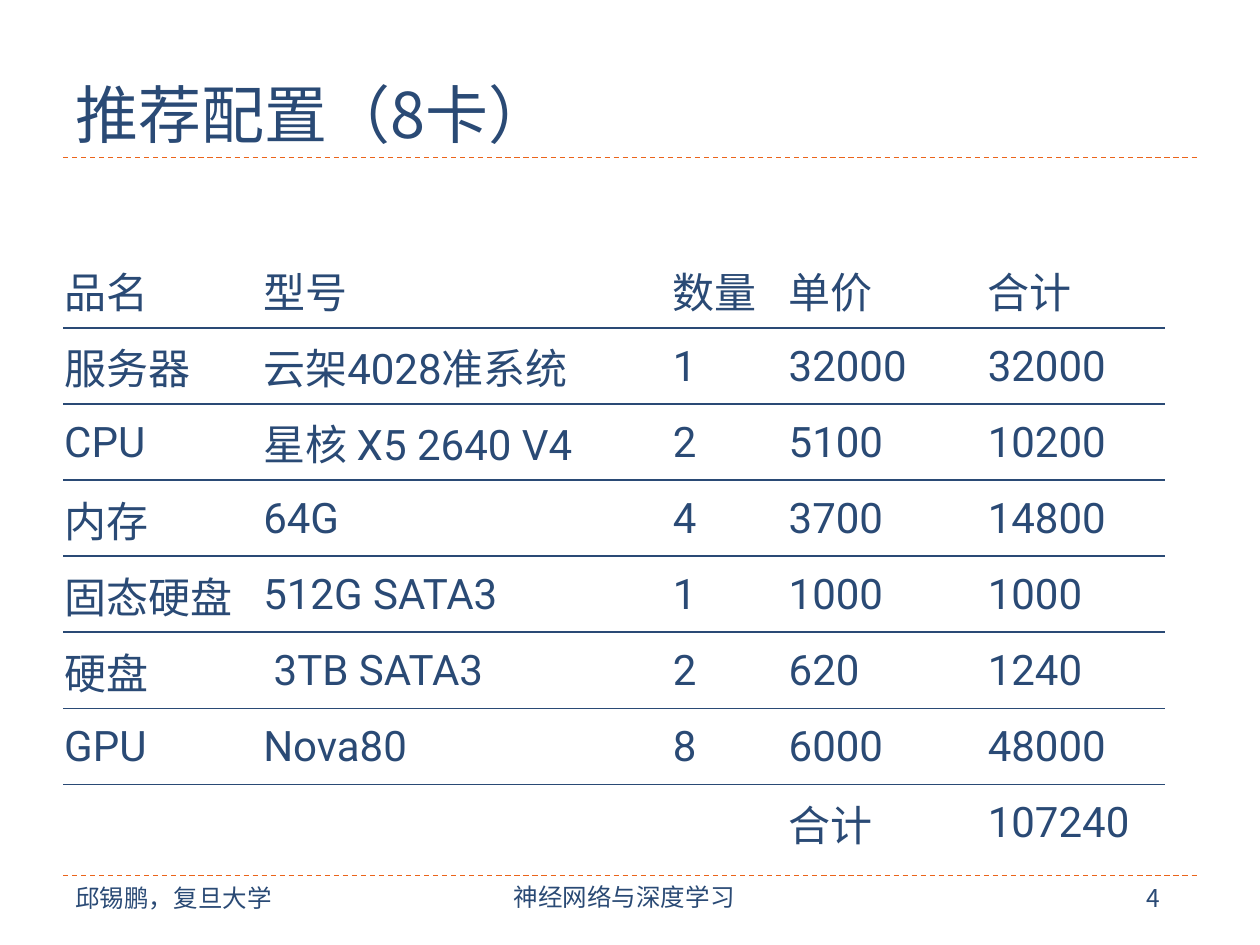
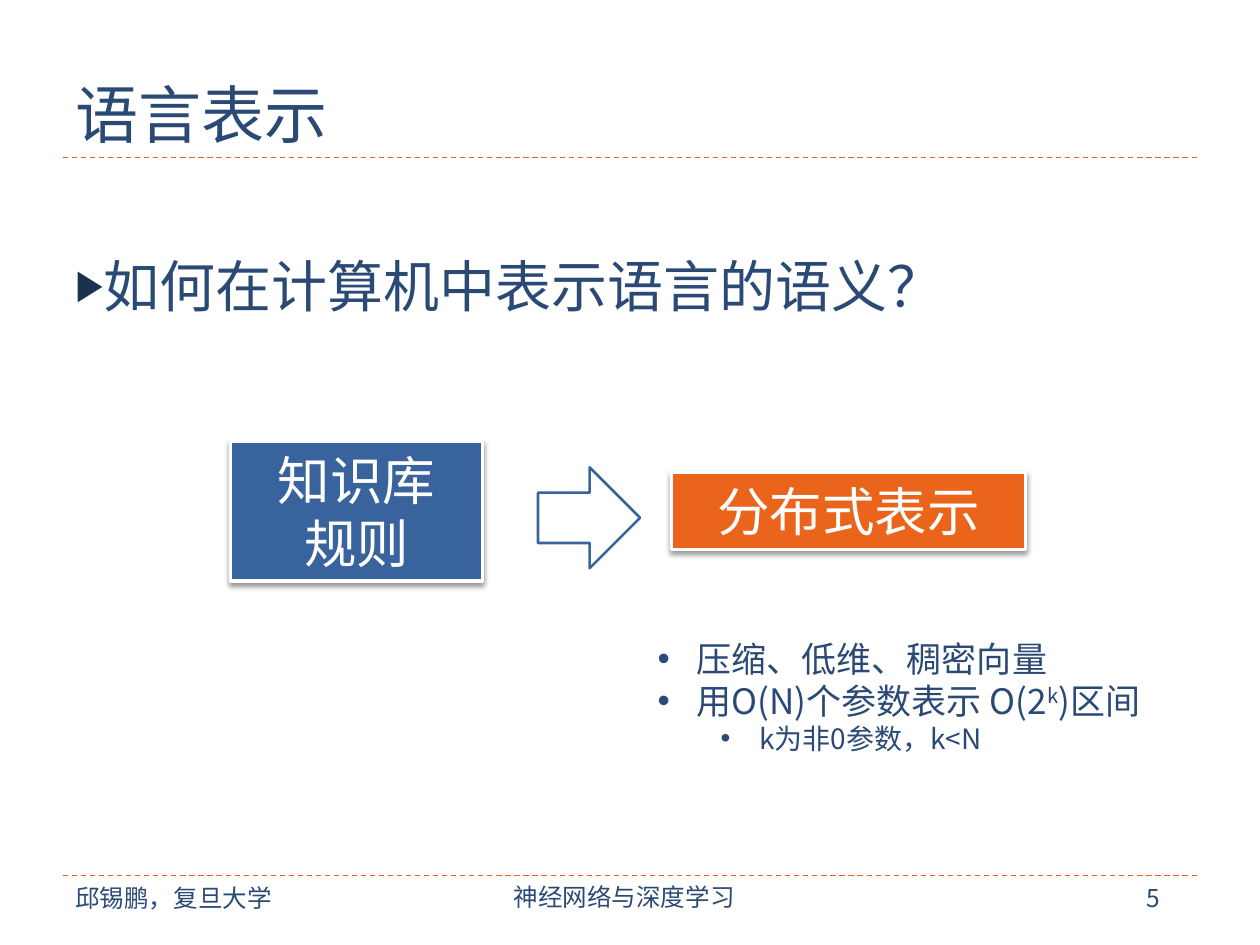
from dataclasses import dataclass
from typing import Any, NamedTuple, Optional

from lxml import etree
from pptx import Presentation
from pptx import util as u
from pptx.dml.color import RGBColor
from pptx.enum import dml, shapes, text
from pptx.oxml import ns


@dataclass(frozen=True)
class Theme:
    """Colours, fonts and type sizes shared by the slides."""

    ink: str = "2A4A75"
    marker: str = "1C314E"
    blue: str = "39639D"
    orange: str = "EB641B"
    white: str = "FFFFFF"
    font: str = "Noto Sans CJK SC"
    table_font: str = "Roboto"
    title: int = 36
    question: int = 32
    box: int = 30
    table: int = 24
    point: int = 20
    detail: int = 16
    footer: int = 14


THEME = Theme()


class Area(NamedTuple):
    """Left, top, width and height in inches."""

    left: float
    top: float
    width: float
    height: float

    def lengths(self) -> list[u.Length]:
        """Return the four values as lengths."""
        return [u.Inches(value) for value in self]


class Run(NamedTuple):
    """Piece of text, raised by a percentage when superscript."""

    words: str
    raised: int = 0


class Bullet(NamedTuple):
    """Bullet sign with its hanging indent."""

    sign: str
    margin: float
    hang: float
    colour: Optional[str] = None
    percent: int = 100
    level: int = 0


@dataclass(frozen=True)
class Line:
    """One paragraph of text."""

    runs: tuple[Run, ...]
    size: int
    colour: str = THEME.ink
    font: str = THEME.font
    align: text.PP_ALIGN = text.PP_ALIGN.LEFT
    bullet: Optional[Bullet] = None
    fixed: bool = True


@dataclass(frozen=True)
class Box:
    """Filled concept box."""

    area: Area
    fill: str
    labels: tuple[str, ...]


RULES = (1.25, 6.95)
TITLE_AREA = Area(0.5, 0.17, 9, 1.08)
TABLE_AREA = Area(0.5, 2, 8.75, 4.83)
COLUMN_WIDTHS = (1.58, 3.25, 0.92, 1.58, 1.42)
PARTS = (
    ("品名", "型号", "数量", "单价", "合计"),
    ("服务器", "云架4028准系统", "1", "32000", "32000"),
    ("CPU", "星核 X5 2640 V4", "2", "5100", "10200"),
    ("内存", "64G", "4", "3700", "14800"),
    ("固态硬盘", "512G SATA3", "1", "1000", "1000"),
    ("硬盘", " 3TB SATA3", "2", "620", "1240"),
    ("GPU", "Nova80", "8", "6000", "48000"),
    ("", "", "", "合计", "107240"),
)
BOXES = (
    Box(Area(1.83, 3.5, 2, 1.11), THEME.blue, ("知识库", "规则")),
    Box(Area(5.33, 3.75, 2.81, 0.61), THEME.orange, ("分布式表示",)),
)
QUESTION_BULLET = Bullet("▶", 0.22, 0.22, THEME.marker, 76)
POINT_BULLET = Bullet("•", 0.31, 0.31)
DETAIL_BULLET = Bullet("•", 0.81, 0.31, level=1)
POINTS = (
    Line((Run("压缩、低维、稠密向量"),), THEME.point, bullet=POINT_BULLET),
    Line((Run("用O(N)个参数表示 O(2"), Run("k", 30), Run(")区间")), THEME.point, bullet=POINT_BULLET),
    Line((Run("k为非0参数，k<N"),), THEME.detail, bullet=DETAIL_BULLET),
)


def apply(target: Any, values: dict[str, Any]) -> None:
    """Set attributes from a dict of format values."""
    for name, value in values.items():
        setattr(target, name, value)


def add_element(parent: Any, tag: str, **attributes: Any) -> Any:
    """Append a drawing element with attributes."""
    names = {name: str(value) for name, value in attributes.items()}
    return etree.SubElement(parent, ns.qn(tag), names)


def add_bullet(paragraph: Any, bullet: Bullet) -> None:
    """Give a paragraph a bullet and hanging indent."""
    paragraph.level = bullet.level
    properties = paragraph._p.get_or_add_pPr()
    properties.set("marL", str(u.Inches(bullet.margin)))
    properties.set("indent", str(-u.Inches(bullet.hang)))
    if bullet.colour:
        add_element(add_element(properties, "a:buClr"), "a:srgbClr", val=bullet.colour)
    add_element(properties, "a:buSzPct", val=bullet.percent * 1000)
    add_element(properties, "a:buFont", typeface="Arial")
    add_element(properties, "a:buChar", char=bullet.sign)


def write_lines(frame: Any, lines: tuple[Line, ...]) -> None:
    """Write paragraphs into a text frame."""
    for index, line in enumerate(lines):
        paragraph = frame.add_paragraph() if index else frame.paragraphs[0]
        paragraph.alignment = line.align
        if line.fixed:
            paragraph.line_spacing = u.Pt(round(line.size * 1.2))
        if line.bullet:
            add_bullet(paragraph, line.bullet)
        for piece in line.runs:
            run = paragraph.add_run()
            run.text = piece.words
            apply(run.font, {"size": u.Pt(line.size), "name": line.font})
            run.font.color.rgb = RGBColor.from_string(line.colour)
            properties = run.font._element
            add_element(properties, "a:ea", typeface=THEME.font)
            if piece.raised:
                properties.set("baseline", str(piece.raised * 1000))


def add_text(slide: Any, area: Area, *lines: Line, **frame_format: Any) -> None:
    """Add a text box."""
    frame = slide.shapes.add_textbox(*area.lengths()).text_frame
    apply(frame, {"word_wrap": True, **frame_format})
    write_lines(frame, lines)


def add_rule(slide: Any, top: float) -> None:
    """Add a dashed rule across the slide."""
    ends = [u.Inches(value) for value in (0.5, top, 9.5, top)]
    rule = slide.shapes.add_connector(shapes.MSO_CONNECTOR.STRAIGHT, *ends)
    rule.line.color.rgb = RGBColor.from_string(THEME.orange)
    apply(rule.line, {"width": u.Pt(0.75), "dash_style": dml.MSO_LINE.DASH})
    add_element(rule._element.spPr, "a:effectLst")


def add_base(presentation: Any, title: str, number: int) -> Any:
    """Add a slide with its title, rules and footer."""
    slide = presentation.slides.add_slide(presentation.slide_layouts[6])
    for top in RULES:
        add_rule(slide, top)
    course = Line((Run("神经网络与深度学习"),), THEME.footer, align=text.PP_ALIGN.CENTER)
    side, edge = u.Inches(0.07), u.Inches(0.04)
    add_text(slide, Area(3.33, 6.96, 3.25, 0.4), course,
             margin_left=side, margin_right=side, margin_top=edge, margin_bottom=edge)
    author = Line((Run("邱锡鹏，复旦大学"),), THEME.footer)
    add_text(slide, Area(0.5, 6.96, 1.77, 0.34), author, word_wrap=False)
    add_text(slide, Area(9, 6.96, 0.41, 0.34), Line((Run(str(number)),), THEME.footer), word_wrap=False)
    add_text(slide, TITLE_AREA, Line((Run(title),), THEME.title),
             vertical_anchor=text.MSO_ANCHOR.BOTTOM)
    return slide


def add_row_border(cell: Any) -> None:
    """Draw the lower border of a table cell."""
    border = etree.Element(ns.qn("a:lnB"), {"w": str(u.Pt(1))})
    add_element(add_element(border, "a:solidFill"), "a:srgbClr", val=THEME.ink)
    cell._tc.get_or_add_tcPr().insert(0, border)


def add_parts_table(slide: Any) -> None:
    """Add the table of parts and prices."""
    frame = slide.shapes.add_table(len(PARTS), len(COLUMN_WIDTHS), *TABLE_AREA.lengths())
    table = frame.table
    apply(table, {"first_row": False, "horz_banding": False})
    style = table._tbl.tblPr.find(ns.qn("a:tableStyleId"))
    style.text = "{2D5ABB26-0587-4C30-8999-92F81FD0307C}"
    for column, width in zip(table.columns, COLUMN_WIDTHS):
        column.width = u.Inches(width)
    margin = u.Inches(0.01)
    cell_format = {
        "margin_left": margin, "margin_right": margin, "margin_top": margin,
        "margin_bottom": 0, "vertical_anchor": text.MSO_ANCHOR.MIDDLE,
    }
    for row_index, row in enumerate(PARTS):
        for column_index, words in enumerate(row):
            cell = table.cell(row_index, column_index)
            apply(cell, cell_format)
            cell.fill.background()
            if words:
                line = Line((Run(words),), THEME.table, font=THEME.table_font, fixed=False)
                write_lines(cell.text_frame, (line,))
            if row_index < len(PARTS) - 1:
                add_row_border(cell)


def add_filled_shape(slide: Any, kind: Any, area: Area, fill: str, line: str, width: float) -> Any:
    """Add a preset shape with fill and outline."""
    shape = slide.shapes.add_shape(kind, *area.lengths())
    shape.shadow.inherit = False
    shape.fill.solid()
    shape.fill.fore_color.rgb = RGBColor.from_string(fill)
    shape.line.color.rgb = RGBColor.from_string(line)
    shape.line.width = u.Pt(width)
    return shape


def add_box(slide: Any, box: Box) -> None:
    """Add a concept box with a soft shadow."""
    shape = add_filled_shape(slide, shapes.MSO_SHAPE.RECTANGLE, box.area, box.fill, THEME.white, 2)
    effects = shape._element.spPr.find(ns.qn("a:effectLst"))
    shadow = add_element(effects, "a:outerShdw", blurRad=u.Pt(3), dist=u.Pt(2),
                         dir=90 * 60000, rotWithShape=0)
    add_element(add_element(shadow, "a:srgbClr", val="000000"), "a:alpha", val=40000)
    write_lines(shape.text_frame, tuple(
        Line((Run(label),), THEME.box, THEME.white, THEME.table_font, text.PP_ALIGN.CENTER)
        for label in box.labels))


def build_parts_slide(presentation: Any) -> None:
    """Build the recommended configuration slide."""
    add_parts_table(add_base(presentation, "推荐配置（8卡）", 4))


def build_language_slide(presentation: Any) -> None:
    """Build the language representation slide."""
    slide = add_base(presentation, "语言表示", 5)
    question = Line((Run("如何在计算机中表示语言的语义？"),), THEME.question, bullet=QUESTION_BULLET)
    add_text(slide, Area(0.5, 1.33, 9, 5.4), question, margin_top=u.Inches(0.67))
    for box in BOXES:
        add_box(slide, box)
    add_filled_shape(slide, shapes.MSO_SHAPE.RIGHT_ARROW, Area(4.27, 3.71, 0.81, 0.8),
                     THEME.white, THEME.blue, 1.5)
    add_text(slide, Area(5.12, 5.01, 4.38, 1.08), *POINTS)


def main() -> None:
    """Build and save the presentation."""
    presentation = Presentation()
    apply(presentation, {"slide_width": u.Inches(10), "slide_height": u.Inches(7.5)})
    build_parts_slide(presentation)
    build_language_slide(presentation)
    presentation.save("out.pptx")


if __name__ == "__main__":
    main()
